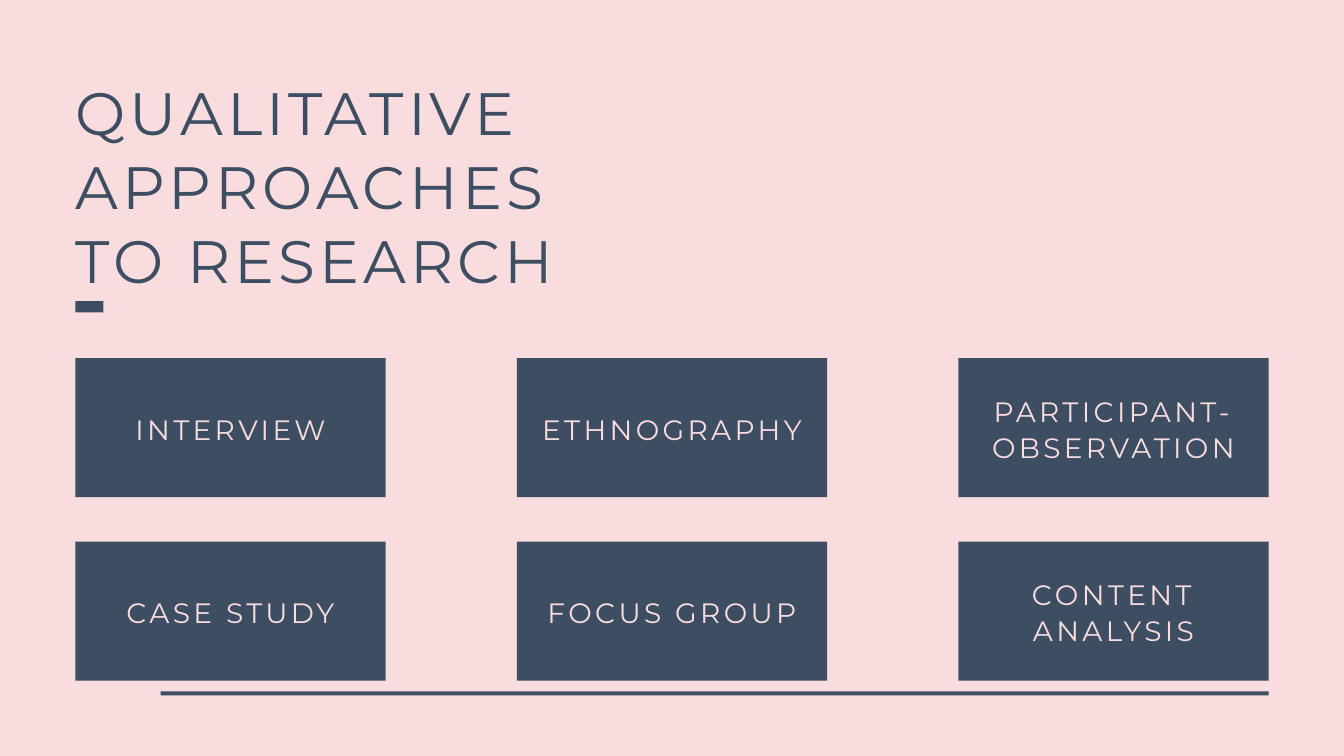
from dataclasses import dataclass
from itertools import product

from pptx import Presentation
from pptx.dml.color import RGBColor
from pptx.enum.shapes import MSO_SHAPE
from pptx.enum.text import MSO_ANCHOR, MSO_AUTO_SIZE, PP_ALIGN
from pptx.shapes.autoshape import Shape
from pptx.slide import Slide
from pptx.util import Emu, Pt

EMU_PER_PX = 9144
NAVY = "3D4E62"
PINK = "F8DCDE"
FRAME_FORMAT = {
    "margin_left": 0,
    "margin_right": 0,
    "margin_top": 0,
    "margin_bottom": 0,
    "word_wrap": True,
    "auto_size": MSO_AUTO_SIZE.NONE,
}


@dataclass(frozen=True)
class Box:
    left: int
    top: int
    width: int
    height: int


@dataclass(frozen=True)
class TextStyle:
    size: int
    color: str
    line_spacing: float
    letter_spacing: float
    alignment: PP_ALIGN
    anchor: MSO_ANCHOR


TITLE_STYLE = TextStyle(64, NAVY, 79.4, 4.5, PP_ALIGN.LEFT, MSO_ANCHOR.TOP)
CARD_STYLE = TextStyle(30, PINK, 39, 3.6, PP_ALIGN.CENTER, MSO_ANCHOR.MIDDLE)

TITLE_BOX = Box(112, 109, 869, 328)
TITLE_ACCENT = Box(112, 448, 42, 17)
BOTTOM_RULE = Box(239, 1029, 1649, 6)
FIRST_CARD = Box(112, 533, 462, 207)
COLUMN_STEP = 657
ROW_STEP = 273
APPROACHES = [
    ["INTERVIEW", "ETHNOGRAPHY", "PARTICIPANT- OBSERVATION"],
    ["CASE STUDY", "FOCUS GROUP", "CONTENT ANALYSIS"],
]


def px(length: int) -> Emu:
    return Emu(length * EMU_PER_PX)


def rgb(color: str) -> RGBColor:
    return RGBColor.from_string(color)


def apply_format(target: object, values: dict) -> None:
    for name, value in values.items():
        setattr(target, name, value)


def write_text(shape: Shape, text: str, style: TextStyle) -> None:
    frame = shape.text_frame
    apply_format(frame, FRAME_FORMAT | {"vertical_anchor": style.anchor})
    paragraph = frame.paragraphs[0]
    apply_format(paragraph, {
        "alignment": style.alignment,
        "line_spacing": Pt(style.line_spacing),
    })
    run = paragraph.add_run()
    run.text = text
    apply_format(run.font, {"name": "Montserrat", "size": Pt(style.size)})
    run.font.color.rgb = rgb(style.color)
    run.font._element.set("spc", str(round(style.letter_spacing * 100)))


def add_block(slide: Slide, box: Box) -> Shape:
    shape = slide.shapes.add_shape(
        MSO_SHAPE.RECTANGLE, px(box.left), px(box.top), px(box.width), px(box.height)
    )
    shape.shadow.inherit = False
    shape.fill.solid()
    shape.fill.fore_color.rgb = rgb(NAVY)
    shape.line.fill.background()
    return shape


def add_title(slide: Slide, text: str, box: Box) -> None:
    title = slide.shapes.title
    apply_format(title, {
        "left": px(box.left),
        "top": px(box.top),
        "width": px(box.width),
        "height": px(box.height),
    })
    write_text(title, text, TITLE_STYLE)


def add_cards(slide: Slide) -> None:
    for row, column in product(range(2), range(3)):
        box = Box(
            FIRST_CARD.left + column * COLUMN_STEP,
            FIRST_CARD.top + row * ROW_STEP,
            FIRST_CARD.width,
            FIRST_CARD.height,
        )
        write_text(add_block(slide, box), APPROACHES[row][column], CARD_STYLE)


def main() -> None:
    presentation = Presentation()
    apply_format(presentation, {"slide_width": px(2000), "slide_height": px(1125)})
    slide = presentation.slides.add_slide(presentation.slide_layouts[5])
    slide.background.fill.solid()
    slide.background.fill.fore_color.rgb = rgb(PINK)
    add_title(slide, "QUALITATIVE APPROACHES TO RESEARCH", TITLE_BOX)
    for box in (BOTTOM_RULE, TITLE_ACCENT):
        add_block(slide, box)
    add_cards(slide)
    presentation.save("out.pptx")


if __name__ == "__main__":
    main()
